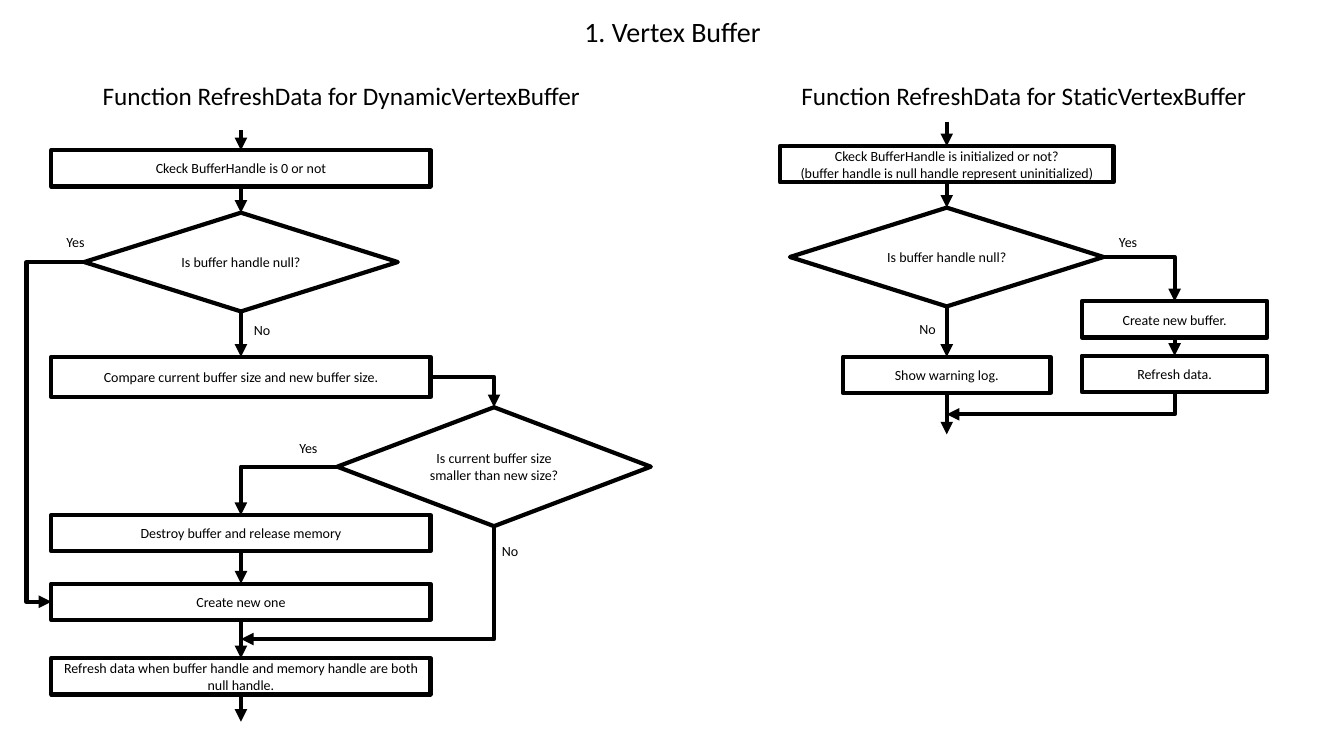
from pptx import Presentation
from pptx.dml.color import RGBColor
from pptx.enum.shapes import MSO_CONNECTOR, MSO_SHAPE
from pptx.enum.text import MSO_ANCHOR, MSO_AUTO_SIZE, PP_ALIGN
from pptx.oxml.ns import qn
from pptx.util import Inches, Pt
from lxml.etree import SubElement

BLACK = RGBColor(0x00, 0x00, 0x00)
FONT = "Calibri"
TOP, LEFT, BOTTOM, RIGHT = range(4)
RECT, DIAMOND = MSO_SHAPE.RECTANGLE, MSO_SHAPE.DIAMOND


def style_text(tf, size, align=None):
    """Format every paragraph of a text frame."""
    for p in tf.paragraphs:
        p.alignment = align
        p.font.name, p.font.size = FONT, Pt(size)
        p.font.color.rgb = BLACK


def add_title(s, text, left, top, width, height):
    """Fill and place the title placeholder."""
    sp = s.shapes.title
    sp.left, sp.top, sp.width, sp.height = map(Inches, (left, top, width, height))
    tf = sp.text_frame
    tf.text = text
    tf.auto_size = MSO_AUTO_SIZE.NONE
    tf.vertical_anchor = MSO_ANCHOR.MIDDLE
    style_text(tf, 20, PP_ALIGN.CENTER)
    tf.paragraphs[0].line_spacing = 0.9


def add_label(s, text, left, top, width=0.53, height=0.27, size=10):
    """Add a plain text box."""
    sp = s.shapes.add_textbox(*map(Inches, (left, top, width, height)))
    tf = sp.text_frame
    tf.text = text
    tf.word_wrap = True
    tf.auto_size = MSO_AUTO_SIZE.SHAPE_TO_FIT_TEXT
    style_text(tf, size)


def add_node(s, text, center, top, width, height=0.36, kind=RECT):
    """Add an outlined flowchart node centred on a vertical axis."""
    box = (center - width / 2, top, width, height)
    sp = s.shapes.add_shape(kind, *map(Inches, box))
    sp.shadow.inherit = False
    sp.fill.background()
    sp.line.color.rgb, sp.line.width = BLACK, Pt(3)
    tf = sp.text_frame
    tf.text = text
    tf.word_wrap = True
    tf.vertical_anchor = MSO_ANCHOR.MIDDLE
    style_text(tf, 10, PP_ALIGN.CENTER)
    return sp


def add_arrow(s, start, end, kind=MSO_CONNECTOR.STRAIGHT):
    """Add a connector with an arrowhead between two points."""
    sp = s.shapes.add_connector(kind, *map(Inches, start + end))
    sp.line.color.rgb, sp.line.width = BLACK, Pt(3)
    SubElement(sp.line._get_or_add_ln(), qn("a:tailEnd"), type="triangle")
    SubElement(sp._element.spPr, qn("a:effectLst"))
    return sp


def link(s, a, a_site, b, b_site, kind=MSO_CONNECTOR.STRAIGHT):
    """Glue an arrow to the connection sites of two nodes."""
    sp = add_arrow(s, (0, 0), (1, 1), kind)
    sp.begin_connect(a, a_site)
    sp.end_connect(b, b_site)
    return sp


def chain(s, *nodes):
    """Link nodes from top to bottom."""
    for a, b in zip(nodes, nodes[1:]):
        link(s, a, BOTTOM, b, TOP)


def link_corner(s, a, a_site, b):
    """Link a node sideways, then down to the top of another."""
    sp = link(s, a, a_site, b, TOP, MSO_CONNECTOR.ELBOW)
    sp._element.spPr.find(qn("a:prstGeom")).set("prst", "bentConnector2")


def link_loop(s, a, b, ratio):
    """Link the left sides of two nodes around the outside."""
    sp = link(s, a, LEFT, b, LEFT, MSO_CONNECTOR.ELBOW)
    geom = sp._element.spPr.find(qn("a:prstGeom"))
    SubElement(geom.find(qn("a:avLst")), qn("a:gd"), name="adj1",
               fmla=f"val {round(ratio * 100000)}")


def add_merge(s, start, end):
    """Add an arrow that runs down and then left into another line."""
    (x1, y1), (x2, y2) = start, end
    cx, cy = (x1 + x2) / 2, (y1 + y2) / 2
    half_w, half_h = (y2 - y1) / 2, (x1 - x2) / 2
    sp = add_arrow(s, (cx - half_w, cy - half_h), (cx + half_w, cy + half_h),
                   MSO_CONNECTOR.ELBOW)
    spPr = sp._element.spPr
    spPr.find(qn("a:prstGeom")).set("prst", "bentConnector2")
    spPr.find(qn("a:xfrm")).set("rot", "5400000")


def add_dynamic_flow(s, left, top):
    """Draw the dynamic buffer flowchart from its top left corner."""
    main, side, width = left + 2.14, left + 4.65, 3.76
    add_label(s, "Function RefreshData for DynamicVertexBuffer",
              left + 0.67, top, 5.08, 0.4, 18)
    check = add_node(s, "Ckeck BufferHandle is 0 or not", main, top + 0.74, width)
    is_null = add_node(s, "Is buffer handle null?", main, top + 1.36, 3.11, 0.98, DIAMOND)
    compare = add_node(s, "Compare current buffer size and new buffer size.",
                       main, top + 2.79, width, 0.4)
    is_smaller = add_node(s, "Is current buffer size smaller than new size?",
                          side, top + 3.29, 3.11, 1.18, DIAMOND)
    destroy = add_node(s, "Destroy buffer and release memory", main, top + 4.36, width)
    create = add_node(s, "Create new one", main, top + 5.04, width)
    refresh = add_node(s, "Refresh data when buffer handle and memory handle "
                       "are both null handle.", main, top + 5.78, width)
    add_arrow(s, (main, top + 0.54), (main, top + 0.74))
    chain(s, check, is_null, compare)
    chain(s, destroy, create, refresh)
    add_arrow(s, (main, top + 6.14), (main, top + 6.41))
    link_corner(s, compare, RIGHT, is_smaller)
    link_corner(s, is_smaller, LEFT, destroy)
    link_loop(s, is_null, create, 1.76)
    add_merge(s, (side, top + 4.47), (main, top + 5.59))
    for text, x, y in (("Yes", 0.31, 1.52), ("No", 2.17, 2.39),
                       ("Yes", 2.62, 3.56), ("No", 4.63, 4.58)):
        add_label(s, text, left + x, top + y)


def add_static_flow(s, left, top):
    """Draw the static buffer flowchart from its top left corner."""
    main, side, width = left + 1.66, left + 3.92, 1.84
    add_label(s, "Function RefreshData for StaticVertexBuffer",
              left + 0.12, top, 5.08, 0.4, 18)
    check = add_node(s, "Ckeck BufferHandle is initialized or not?\n"
                     "(buffer handle is null handle represent uninitialized)",
                     main, top + 0.7, 3.31)
    is_null = add_node(s, "Is buffer handle null?", main, top + 1.31, 3.11, 0.98, DIAMOND)
    warn = add_node(s, "Show warning log.", main, top + 2.79, 2.06)
    create = add_node(s, "Create new buffer.", side, top + 2.24, width)
    refresh = add_node(s, "Refresh data.", side, top + 2.78, width)
    add_arrow(s, (main, top + 0.46), (main, top + 0.7))
    chain(s, check, is_null, warn)
    chain(s, create, refresh)
    add_arrow(s, (main, top + 3.15), (main, top + 3.56))
    link_corner(s, is_null, RIGHT, create)
    add_merge(s, (side, top + 3.14), (main, top + 3.36))
    for text, x, y in (("Yes", 3.27, 1.52), ("No", 1.29, 2.38)):
        add_label(s, text, left + x, top + y)


def main():
    """Build and save the slide."""
    prs = Presentation()
    prs.slide_width, prs.slide_height = Inches(13.33), Inches(7.5)
    s = prs.slides.add_slide(prs.slide_layouts[5])
    add_title(s, "1. Vertex Buffer", 0.92, 0.21, 11.5, 0.25)
    add_dynamic_flow(s, 0.25, 0.75)
    add_static_flow(s, 7.73, 0.75)
    prs.save("out.pptx")


main()
